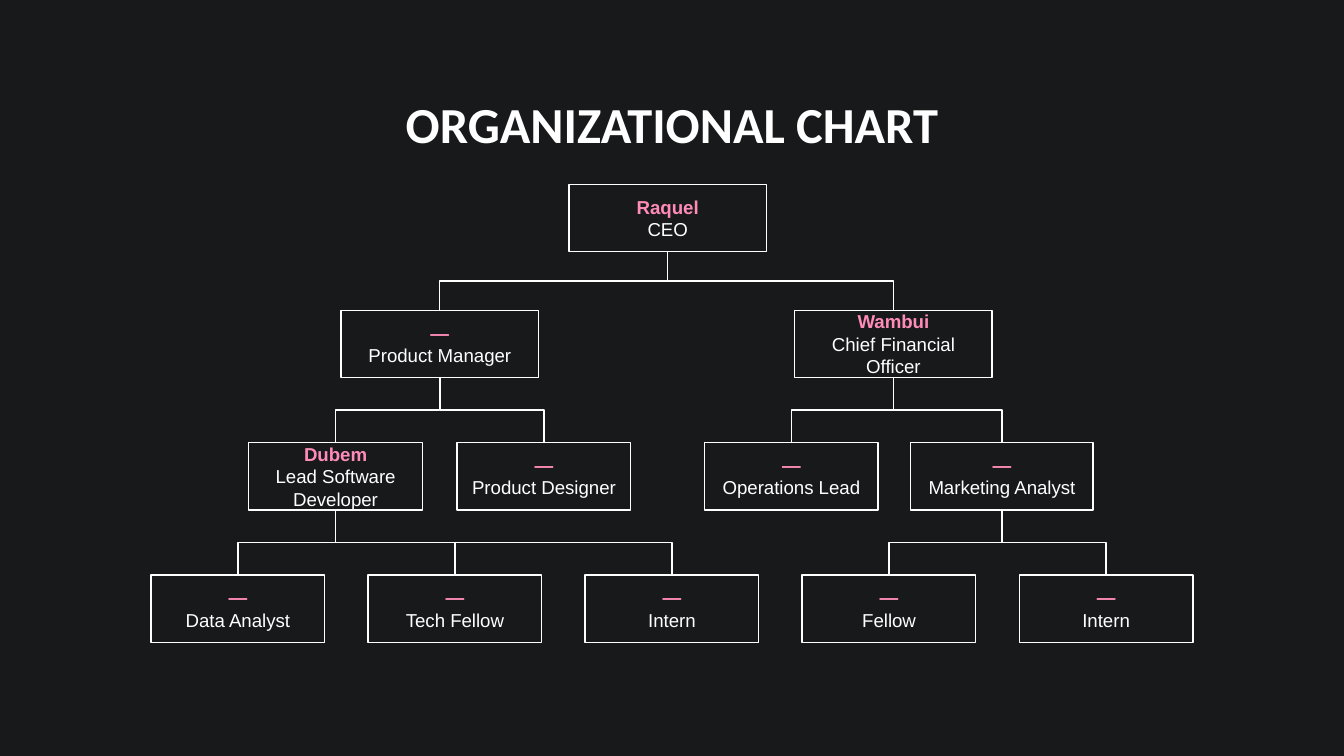
"""Build an organizational chart slide."""
from dataclasses import dataclass
from typing import Optional

import pptx
import pptx.dml.color
import pptx.enum.shapes
import pptx.enum.text
import pptx.oxml.ns
import pptx.shapes.autoshape
import pptx.slide
import pptx.text.text
import pptx.util
from lxml import etree

RGBColor = pptx.dml.color.RGBColor
Inches = pptx.util.Inches
Pt = pptx.util.Pt

BACKGROUND = RGBColor(0x18, 0x19, 0x1A)
WHITE = RGBColor(0xFF, 0xFF, 0xFF)
PINK = RGBColor(0xFF, 0x8C, 0xB8)

SLIDE_W = Inches(10)
SLIDE_H = SLIDE_W * 9 // 16
PCT_W, PCT_H = SLIDE_W / 100, SLIDE_H / 100
COL_W, ROW_H = 16.15 * PCT_W, 17.51 * PCT_H
FIRST_X, FIRST_Y = 17.7 * PCT_W, 23.55 * PCT_H
BOX_H = Inches(0.5)
WIDE, NARROW = 0.91, 0.8
LINE_W = Pt(0.75)
VACANT = "—"


@dataclass(frozen=True)
class Post:
    """A box of the chart, with its centre column, row and width in columns."""

    key: str
    boss: Optional[str]
    person: str
    role: str
    col: float
    row: float
    width: float = NARROW


POSTS = [
    Post("ceo", None, "Raquel", "CEO", 1.98, 0.05, WIDE),
    Post("product", "ceo", VACANT, "Product Manager", 0.93, 1, WIDE),
    Post("finance", "ceo", "Wambui", "Chief Financial Officer", 3.02, 1, WIDE),
    Post("software", "product", "Dubem", "Lead Software Developer", 0.45, 2),
    Post("design", "product", VACANT, "Product Designer", 1.41, 2),
    Post("operations", "finance", VACANT, "Operations Lead", 2.55, 2),
    Post("marketing", "finance", VACANT, "Marketing Analyst", 3.52, 2, 0.84),
    Post("data", "software", VACANT, "Data Analyst", 0, 3),
    Post("tech", "software", VACANT, "Tech Fellow", 1, 3),
    Post("tech_intern", "software", VACANT, "Intern", 2, 3),
    Post("fellow", "marketing", VACANT, "Fellow", 3, 3),
    Post("marketing_intern", "marketing", VACANT, "Intern", 4, 3),
]


def add_run(p: pptx.text.text._Paragraph, text: str, font: str, size: float,
            color: RGBColor, bold: bool) -> None:
    """Add one centred run to a paragraph."""
    p.alignment = pptx.enum.text.PP_ALIGN.CENTER
    r = p.add_run()
    r.text = text
    r.font.name, r.font.size, r.font.bold = font, Pt(size), bold
    r.font.color.rgb = color


def set_frame(tf: pptx.text.text.TextFrame,
              anchor: pptx.enum.text.MSO_ANCHOR) -> None:
    """Set wrapping, anchor and equal insets."""
    tf.word_wrap = True
    tf.vertical_anchor = anchor
    tf.margin_left = tf.margin_right = Inches(0.1)
    tf.margin_top = tf.margin_bottom = Inches(0.1)


def add_title(s: pptx.slide.Slide, text: str) -> None:
    """Add the slide title."""
    width = int(84.4 * PCT_W)
    sp = s.shapes.add_textbox((SLIDE_W - width) // 2, int(10.5 * PCT_H),
                              width, int(11.2 * PCT_H))
    set_frame(sp.text_frame, pptx.enum.text.MSO_ANCHOR.TOP)
    add_run(sp.text_frame.paragraphs[0], text, "Calibri", 27, WHITE, True)


def add_post(s: pptx.slide.Slide, post: Post) -> pptx.shapes.autoshape.Shape:
    """Draw the box of one post."""
    width = int(post.width * COL_W)
    left = int(FIRST_X + post.col * COL_W - width / 2)
    top = int(FIRST_Y + post.row * ROW_H)
    sp = s.shapes.add_shape(pptx.enum.shapes.MSO_SHAPE.RECTANGLE,
                            left, top, width, BOX_H)
    sp.shadow.inherit = False
    sp.fill.background()
    sp.line.color.rgb, sp.line.width = WHITE, LINE_W
    tf = sp.text_frame
    set_frame(tf, pptx.enum.text.MSO_ANCHOR.MIDDLE)
    add_run(tf.paragraphs[0], post.person, "Arial", 10, PINK, True)
    add_run(tf.add_paragraph(), post.role, "Arial", 10, WHITE, False)
    return sp


def add_link(s: pptx.slide.Slide, boss: pptx.shapes.autoshape.Shape,
             report: pptx.shapes.autoshape.Shape) -> None:
    """Join a boss to a report with an elbow that leaves and arrives vertically."""
    x1, y1 = boss.left + boss.width // 2, boss.top + boss.height
    x2, y2 = report.left + report.width // 2, report.top
    link = s.shapes.add_connector(pptx.enum.shapes.MSO_CONNECTOR.ELBOW,
                                  x1, y1, x2, y2)
    link.begin_connect(boss, 2)
    link.end_connect(report, 0)
    link.line.color.rgb, link.line.width = WHITE, LINE_W
    drop, reach = y2 - y1, abs(x2 - x1)
    link.left, link.top = (x1 + x2 - drop) // 2, (y1 + y2 - reach) // 2
    link.width, link.height = drop, reach
    qn = pptx.oxml.ns.qn
    sp_pr = link._element.spPr
    xfrm = sp_pr.find(qn("a:xfrm"))
    to_right = x2 > x1
    xfrm.set("rot", str((270 if to_right else 90) * 60000))
    xfrm.set("flipH", "1" if to_right else "0")
    etree.SubElement(sp_pr, qn("a:effectLst"))


def main() -> None:
    """Build and save the slide."""
    prs = pptx.Presentation()
    prs.slide_width, prs.slide_height = SLIDE_W, SLIDE_H
    s = prs.slides.add_slide(prs.slide_layouts[6])
    s.background.fill.solid()
    s.background.fill.fore_color.rgb = BACKGROUND
    add_title(s, "ORGANIZATIONAL CHART")
    boxes = {post.key: add_post(s, post) for post in POSTS}
    for post in POSTS:
        if post.boss:
            add_link(s, boxes[post.boss], boxes[post.key])
    prs.save("out.pptx")


if __name__ == "__main__":
    main()
